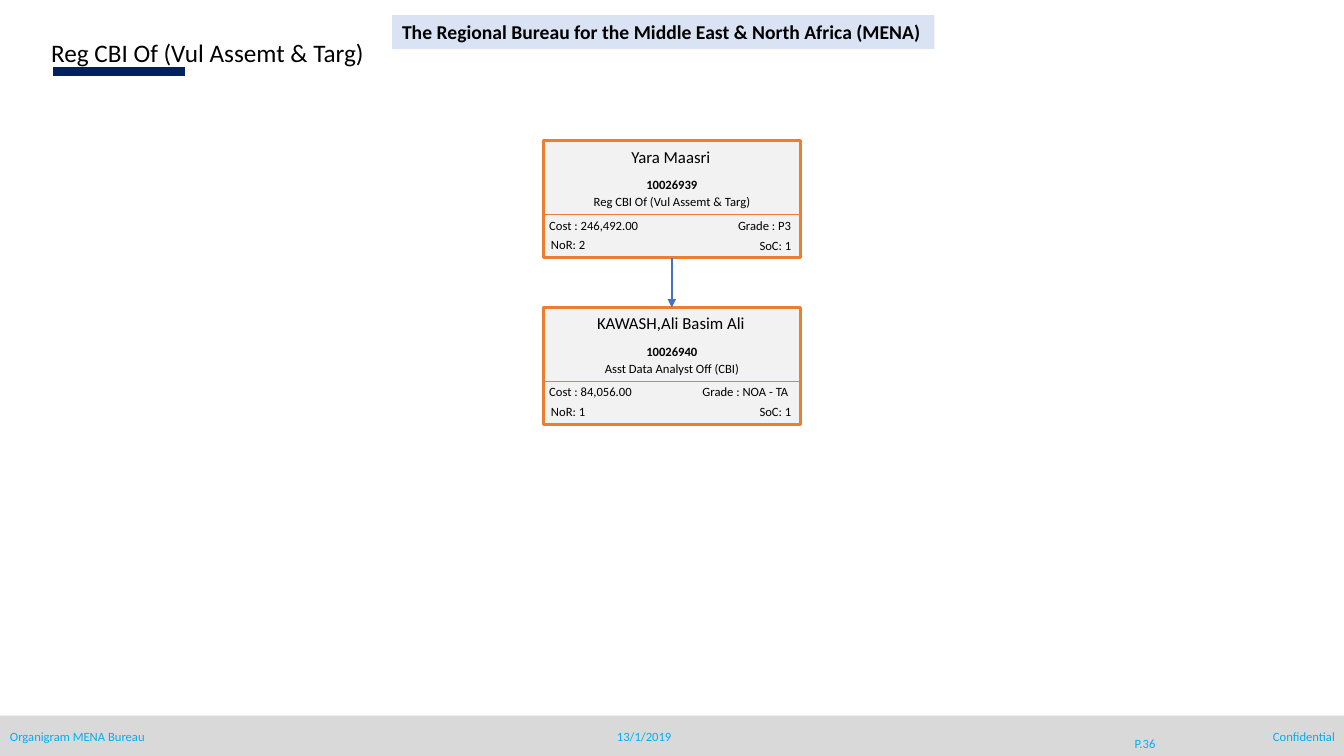
from lxml import etree
from pptx import Presentation
from pptx.dml.color import RGBColor
from pptx.enum import shapes, text
from pptx.oxml import ns
from pptx.util import Pt

# Content
TITLE = "Reg CBI Of (Vul Assemt & Targ)"
BUREAU = "The Regional Bureau for the Middle East & North Africa (MENA)"
POSTS = [
    {"name": "Yara Maasri", "number": "10026939",
     "role": "Reg CBI Of (Vul Assemt & Targ)",
     "cost": "Cost : 246,492.00", "grade": "Grade : P3",
     "reports": "NoR: 2", "span": "SoC: 1"},
    {"name": "KAWASH,Ali Basim Ali", "number": "10026940",
     "role": "Asst Data Analyst Off (CBI)",
     "cost": "Cost : 84,056.00", "grade": "Grade : NOA - TA ",
     "reports": "NoR: 1", "span": "SoC: 1"},
]
LEFT, CENTER, RIGHT = text.PP_ALIGN.LEFT, text.PP_ALIGN.CENTER, text.PP_ALIGN.RIGHT
TOP, MIDDLE = text.MSO_ANCHOR.TOP, text.MSO_ANCHOR.MIDDLE

# Footer entries: text, left, width, height, alignment, anchor
FOOTER = [
    ("Organigram MENA Bureau", 0, 221.8, 18, LEFT, TOP),
    ("Confidential", 738.7, 221.8, 18, RIGHT, TOP),
    ("P.36", 789.1, 57.6, 28.8, CENTER, MIDDLE),
    ("13/1/2019", 428.4, 63.4, 18, CENTER, MIDDLE),
]

THEME = {
    "font": "Calibri", "ink": "000000", "accent": "002060", "footer": "D9D9D9",
    "footer_ink": "00B0F0", "card": "F2F2F2", "edge": "ED7D31",
    "banner": "DAE3F3", "arrow": "4472C4",
    "title": 18, "heading": 14, "name": 12, "small": 9,
}

# Layout
PAGE_W, PAGE_H = 960, 540
FOOTER_TOP, FOOTER_H, FOOTER_TEXT_TOP = 511.2, 29.2, 517
CARD_X, CARD_Y, CARD_W, CARD_H, CARD_STEP = 388.1, 100.6, 183.6, 83.6, 119
DIVIDER_Y = 52.7
# Card fields: key, left, top, width, height, alignment, size, bold
FIELDS = [
    ("name", -0.7, 0.4, 183.6, 22, CENTER, "name", False),
    ("number", 0, 22.3, 183.6, 18, CENTER, "small", True),
    ("role", 0, 34.6, 183.6, 18, CENTER, "small", False),
    ("cost", -2.9, 51.2, 113.8, 18, LEFT, "small", False),
    ("grade", 96, 51.2, 88, 18, RIGHT, "small", False),
    ("reports", -1.6, 65.2, 55.4, 18, LEFT, "small", False),
    ("span", 110.8, 65.6, 73.4, 18, RIGHT, "small", False),
]

deck = Presentation()
deck.slide_width, deck.slide_height = Pt(PAGE_W), Pt(PAGE_H)
page = deck.slides.add_slide(deck.slide_layouts[6])


def color(name):
    return RGBColor.from_string(THEME[name])


def write(box, words, size, align=LEFT, anchor=TOP, bold=False, ink="ink", wrap=True):
    frame = box.text_frame
    frame.text = words
    frame.word_wrap = wrap
    frame.vertical_anchor = anchor
    para = frame.paragraphs[0]
    para.alignment = align
    font = para.runs[0].font
    font.name, font.size, font.bold = THEME["font"], Pt(THEME[size]), bold
    font.color.rgb = color(ink)


def add_label(words, x, y, w, h, size, **style):
    box = page.shapes.add_textbox(Pt(x), Pt(y), Pt(w), Pt(h))
    write(box, words, size, **style)


def add_panel(x, y, w, h, fill, edge=None):
    panel = page.shapes.add_shape(shapes.MSO_SHAPE.RECTANGLE, Pt(x), Pt(y), Pt(w), Pt(h))
    panel.shadow.inherit = False
    panel.fill.solid()
    panel.fill.fore_color.rgb = color(fill)
    if edge:
        panel.line.color.rgb = color(edge)
        panel.line.width = Pt(2)
    else:
        panel.line.fill.background()
    return panel


def add_line(x1, y1, x2, y2, ink, width):
    line = page.shapes.add_connector(
        shapes.MSO_CONNECTOR.STRAIGHT, Pt(x1), Pt(y1), Pt(x2), Pt(y2))
    line.line.color.rgb = color(ink)
    line.line.width = Pt(width)
    etree.SubElement(line._element.spPr, ns.qn("a:effectLst"))
    return line


# Footer
add_panel(0, FOOTER_TOP, PAGE_W, FOOTER_H, "footer")
for words, x, w, h, align, anchor in FOOTER:
    add_label(words, x, FOOTER_TEXT_TOP, w, h, "small",
              align=align, anchor=anchor, ink="footer_ink")

# Title and banner
add_line(38.2, 51.1, 132.5, 51.1, "accent", 7)
add_label(TITLE, 29.5, 23, 381.6, 29.5, "title")
banner = add_panel(280.1, 10.8, 387.4, 24.4, "banner")
write(banner, BUREAU, "heading", bold=True, wrap=False)

# Post cards
cards = []
for index, post in enumerate(POSTS):
    top = CARD_Y + index * CARD_STEP
    cards.append(add_panel(CARD_X, top, CARD_W, CARD_H, "card", "edge"))
    add_line(CARD_X, top + DIVIDER_Y, CARD_X + CARD_W, top + DIVIDER_Y, "edge", 1)
    for key, dx, dy, w, h, align, size, bold in FIELDS:
        add_label(post[key], CARD_X + dx, top + dy, w, h, size, align=align, bold=bold)

# Reporting arrows
for manager, report in zip(cards, cards[1:]):
    arrow = add_line(0, 0, 0, 0, "arrow", 1.5)
    arrow.begin_connect(manager, 2)
    arrow.end_connect(report, 0)
    etree.SubElement(arrow.line._get_or_add_ln(), ns.qn("a:tailEnd"), type="triangle")

deck.save("out.pptx")
